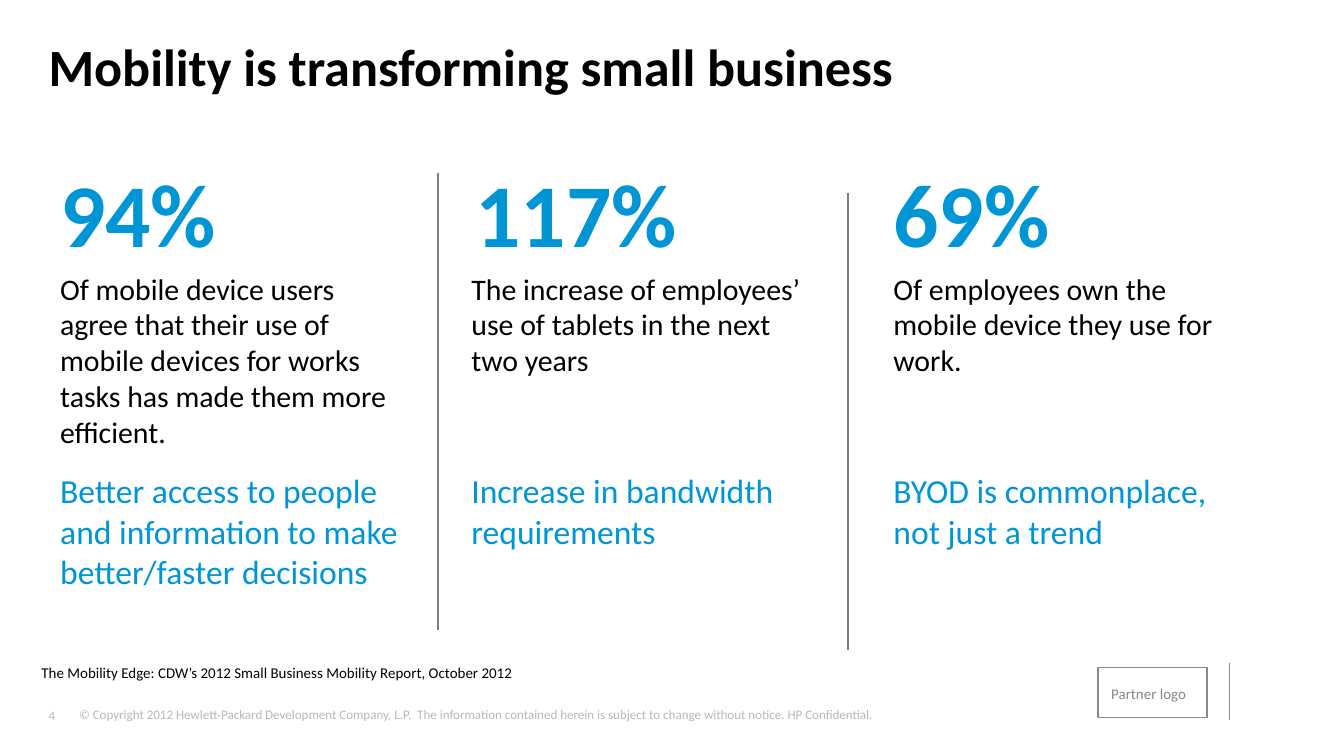
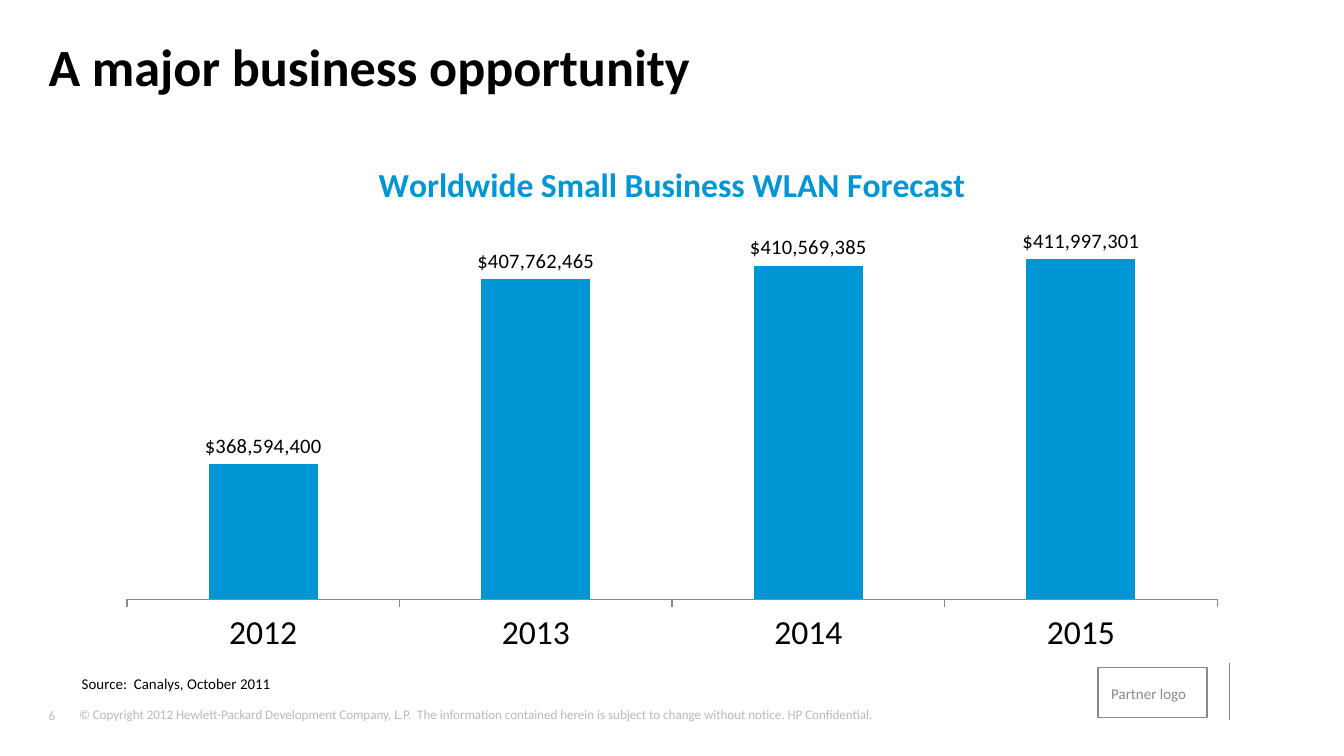
import pptx
import pptx.util
import pptx.dml.color
import pptx.enum.text
import pptx.enum.shapes
import pptx.enum.chart
import pptx.chart.data
import pptx.oxml
import pptx.oxml.ns

Pt = pptx.util.Pt
rgb = pptx.dml.color.RGBColor.from_string
FONT = "Calibri"
BLUE, BLACK, GREY, PALE, RULE = "0096D6", "000000", "87898B", "B9B8BB", "7F7F7F"


def add_text(s, x, y, w, h, text, size, color, bold=False, wrap=True, after=0):
    tf = s.shapes.add_textbox(Pt(x), Pt(y), Pt(w), Pt(h)).text_frame
    tf.word_wrap = wrap
    p = tf.paragraphs[0]
    p.text = text
    p.space_after = Pt(after)
    p.font.name, p.font.size, p.font.bold = FONT, Pt(size), bold
    p.font.color.rgb = rgb(color)
    return tf


def add_rule(s, x, top, bottom, color, width):
    c = s.shapes.add_connector(pptx.enum.shapes.MSO_CONNECTOR.STRAIGHT,
                               Pt(x), Pt(top), Pt(x), Pt(bottom))
    c.line.color.rgb = rgb(color)
    c.line.width = Pt(width)
    c.element.spPr.append(pptx.oxml.parse_xml(
        "<a:effectLst %s/>" % pptx.oxml.ns.nsdecls("a")))


prs = pptx.Presentation()
prs.slide_width, prs.slide_height = Pt(720), Pt(405)

# Title, footer and partner mark on every slide
slides = []
for number, title in [("4", "Mobility is transforming small business"),
                      ("6", "A major business opportunity")]:
    s = prs.slides.add_slide(prs.slide_layouts[5])
    slides.append(s)
    sp = s.shapes.title
    sp.left, sp.top, sp.width, sp.height = Pt(26), Pt(18.3), Pt(639.4), Pt(33.8)
    tf = sp.text_frame
    tf.margin_left = tf.margin_top = tf.margin_right = tf.margin_bottom = 0
    tf.vertical_anchor = pptx.enum.text.MSO_ANCHOR.TOP
    tf.auto_size = pptx.enum.text.MSO_AUTO_SIZE.NONE
    tf.word_wrap = True
    p = tf.paragraphs[0]
    p.text = title
    p.alignment = pptx.enum.text.PP_ALIGN.LEFT
    p.font.name, p.font.size, p.font.bold = FONT, Pt(28), True
    p.font.color.rgb = rgb(BLACK)

    add_text(s, 35.3, 374.7, 630.7, 18,
             "© Copyright 2012 Hewlett-Packard Development Company, L.P.  "
             "The information contained herein is subject to change without notice. "
             "HP Confidential.", 7, PALE)
    tf = add_text(s, 26, 377.3, 25.2, 11.5, number, 7, PALE, wrap=False)
    tf.margin_left = 0
    tf.vertical_anchor = pptx.enum.text.MSO_ANCHOR.MIDDLE

    add_text(s, 588.2, 363.2, 58.3, 17.3, "Partner logo", 8, GREY, after=4)
    sp = s.shapes.add_shape(pptx.enum.shapes.MSO_SHAPE.RECTANGLE,
                            Pt(588.2), Pt(357.8), Pt(58.5), Pt(26.6))
    sp.shadow.inherit = False
    sp.fill.background()
    sp.line.color.rgb = rgb(GREY)
    sp.line.width = Pt(0.75)
    add_rule(s, 658.8, 355, 386, GREY, 0.75)

# Slide 1: three figures, each with a fact and a consequence
s = slides[0]
columns = [
    (25.2, 25.2, 208, "94%",
     "Of mobile device users agree that their use of mobile devices for works "
     "tasks has made them more efficient.",
     "Better access to people and information to make better/faster decisions"),
    (245.5, 247.7, 198.7, "117%",
     "The increase of employees’ use of tablets in the next two years",
     "Increase in bandwidth requirements"),
    (471.6, 471.6, 204.5, "69%",
     "Of employees own the mobile device they use for work.",
     "BYOD is commonplace, not just a trend"),
]
for x, figure_x, width, figure, fact, result in columns:
    add_text(s, figure_x, 81, 130, 56.5, figure, 48, BLUE, bold=True)
    add_text(s, x, 141.3, min(width, 198.7), 67.7, fact, 16, BLACK)
    add_text(s, x, 248.4, width, 83.5, result, 18, BLUE)
for x, top in [(234.7, 92.9), (454.3, 103.2)]:
    add_rule(s, x, top, top + 244.8, RULE, 1)
add_text(s, 15.1, 352.1, 270.7, 17.3,
         "The Mobility Edge: CDW’s 2012 Small Business Mobility Report, October 2012",
         8, BLACK, wrap=False, after=4)

# Slide 2: forecast chart
s = slides[1]
data = pptx.chart.data.CategoryChartData(number_format="#,##0")
data.categories = ["2012", "2013", "2014", "2015"]
data.add_series("Series 1", [368594400, 407762465, 410569385, 411997301])
chart = s.shapes.add_chart(pptx.enum.chart.XL_CHART_TYPE.COLUMN_CLUSTERED,
                           Pt(55.9), Pt(73.5), Pt(608.4), Pt(281.5), data).chart
chart.font.name, chart.font.size = FONT, Pt(18)
chart.font.color.rgb = rgb(BLACK)
chart.has_legend = False
chart.has_title = True
p = chart.chart_title.text_frame.paragraphs[0]
p.text = "Worldwide Small Business WLAN Forecast"
p.font.name, p.font.size, p.font.bold = FONT, Pt(18), True
p.font.color.rgb = rgb(BLUE)
chart.chart_title.include_in_layout = False

# Axes
axis = chart.value_axis
axis.minimum_scale, axis.maximum_scale = 340000000, 420000000
axis.has_major_gridlines = False
axis.visible = False
axis = chart.category_axis
axis.major_tick_mark = pptx.enum.chart.XL_TICK_MARK.OUTSIDE
axis.format.line.color.rgb = rgb(GREY)
axis.format.line.width = Pt(0.75)

# Columns and their labels
plot = chart.plots[0]
plot.gap_width = 150
plot.vary_by_categories = False
fill = plot.series[0].format.fill
fill.solid()
fill.fore_color.rgb = rgb(BLUE)
plot.has_data_labels = True
labels = plot.data_labels
labels.show_value = True
labels.number_format = '"$"#,##0'
labels.number_format_is_linked = False
labels.position = pptx.enum.chart.XL_LABEL_POSITION.OUTSIDE_END
labels.font.name, labels.font.size = FONT, Pt(11)
labels.font.color.rgb = rgb(BLACK)

# Fixed plot area under the title
area = chart.element.chart.plotArea
for old in area.findall(pptx.oxml.ns.qn("c:layout")):
    area.remove(old)
places = "".join('<c:%s val="%s"/>' % item for item in [
    ("layoutTarget", "inner"), ("xMode", "edge"), ("yMode", "edge"),
    ("x", 0.02), ("y", 0.16), ("w", 0.96), ("h", 0.72)])
area.insert(0, pptx.oxml.parse_xml(
    "<c:layout %s><c:manualLayout>%s</c:manualLayout></c:layout>"
    % (pptx.oxml.ns.nsdecls("c"), places)))

add_text(s, 36.7, 357.8, 117.4, 17.3, "Source:  Canalys, October 2011",
         8, BLACK, wrap=False, after=4)

prs.save("out.pptx")
